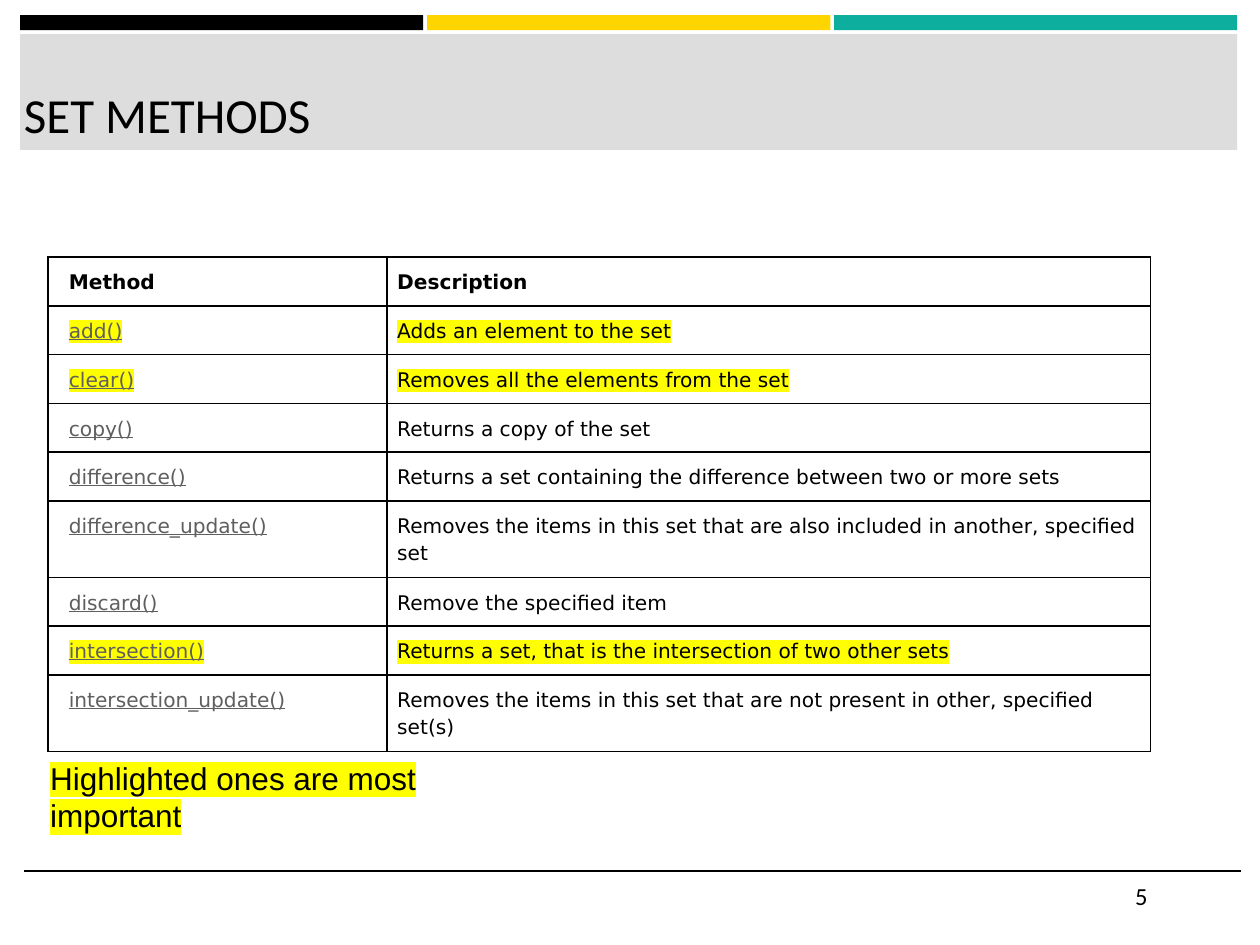
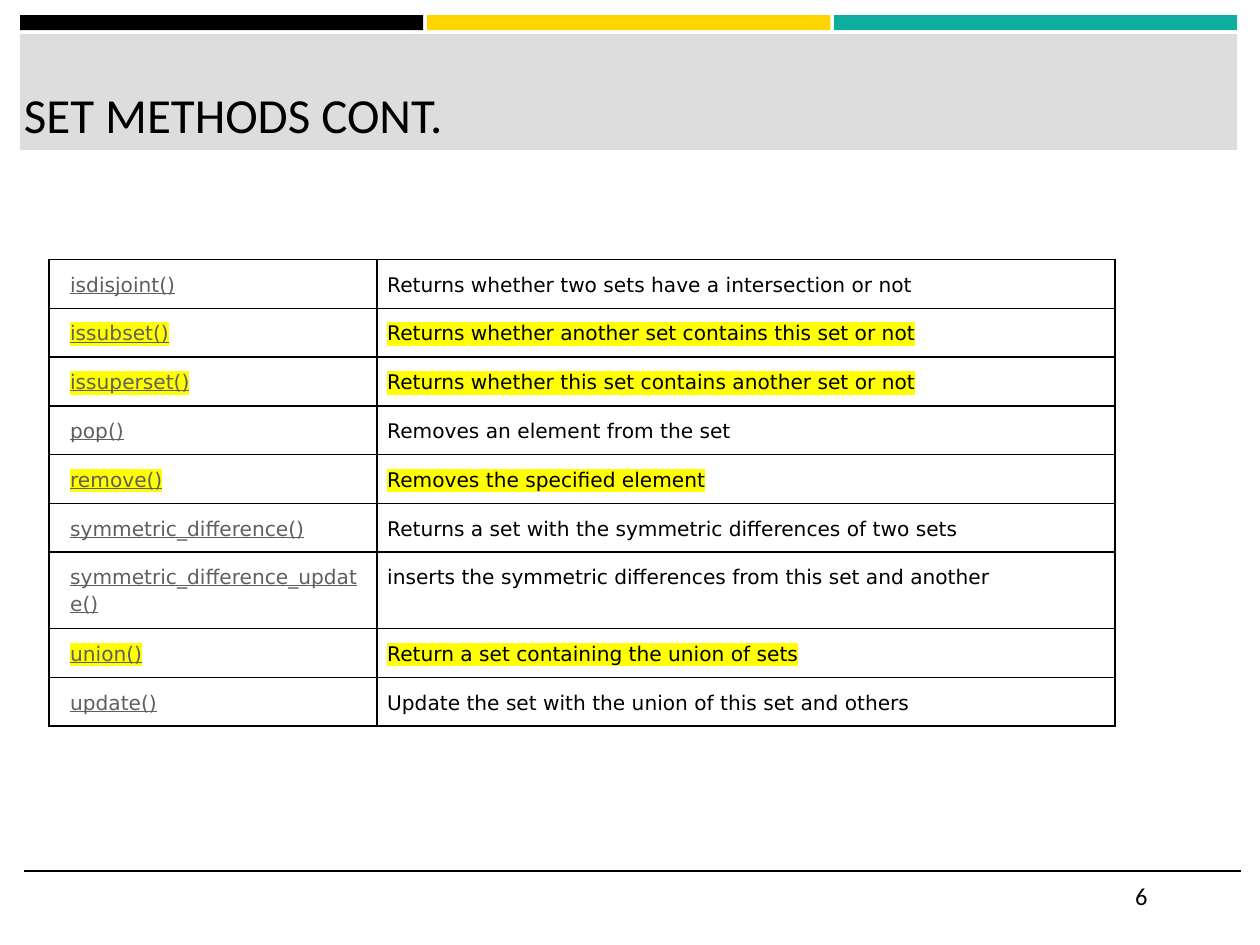
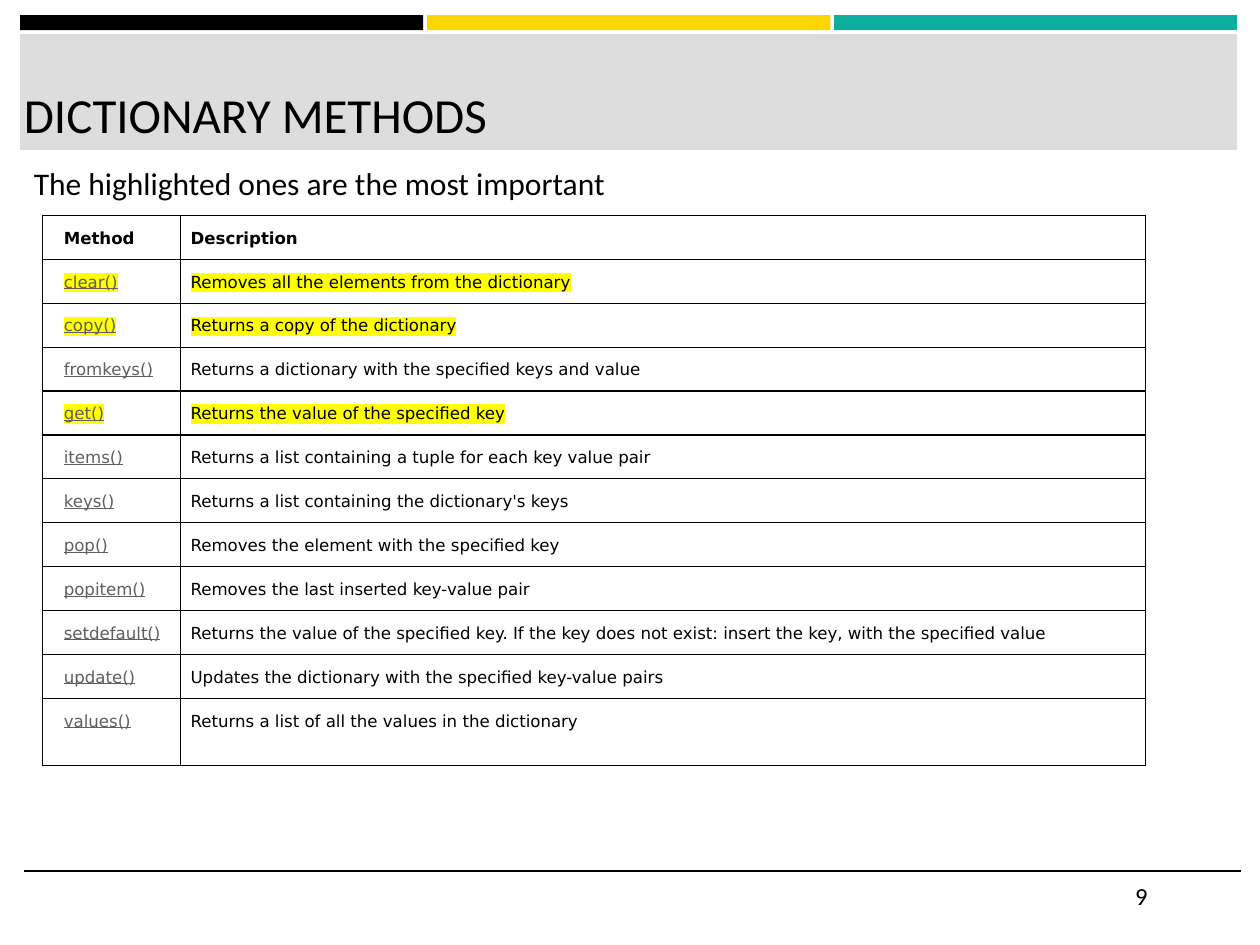
"""Build three slides listing the methods of Python sets and dictionaries."""
from dataclasses import dataclass, field
from typing import Any, NamedTuple

import pptx
import pptx.dml.color
import pptx.enum.shapes
import pptx.enum.text
import pptx.oxml
import pptx.oxml.ns
import pptx.util

SLIDE_WIDTH = pptx.util.Inches(10)
SLIDE_HEIGHT = pptx.util.Inches(7.5)
COLUMN = SLIDE_WIDTH / 100
ROW = SLIDE_HEIGHT / 75

BLACK, WHITE, GREY = "000000", "FFFFFF", "DDDDDD"
YELLOW, TEAL = "FFD500", "0EAE9F"
LINK, MARKER = "5F5F5F", "FFFF00"
ANCHOR = pptx.enum.text.MSO_ANCHOR
CELL_PADDING = pptx.util.Pt(6)


class Area(NamedTuple):
    """Left, top, width and height in grid columns and rows."""
    left: float
    top: float
    width: float
    height: float


class Style(NamedTuple):
    """Look of a text run."""
    size: float
    typeface: str = "Calibri"
    color: str = BLACK
    bold: bool = False
    underline: bool = False
    highlight: str = ""


class Method(NamedTuple):
    """A method, what it does, and whether it is marked."""
    name: str
    description: str
    important: bool = False


class Note(NamedTuple):
    """A remark beside the table."""
    text: str
    area: Area
    style: Style
    padding: tuple[float, float]


@dataclass
class MethodSlide:
    """Content and table measures of one slide."""
    title: str
    number: int
    corner: tuple[float, float]
    columns: tuple[float, float]
    row: float
    size: float
    border: float
    methods: list[Method]
    header: bool = True
    tall_rows: dict[int, float] = field(default_factory=dict)
    note: Note | None = None


BANDS = (BLACK, YELLOW, TEAL)
BAND = Area(1.6, 1.2, 32, 1.2)
BAND_PITCH = 32.3
TITLE_BAR = Area(1.6, 2.7, 96.6, 9.2)
TITLE = Area(1.9, 3.2, 95.7, 8.2)
PAGE_NUMBER = Area(90.1, 69.1, 8.4, 4)
FOOTER_LEFT, FOOTER_RIGHT, FOOTER_TOP = 1.9, 98.5, 69.1

SLIDES = [
    MethodSlide(
        "SET METHODS", 5, (3.8, 20.4), (26.9, 60.6), 3.8, 11.5, 1,
        [
            Method("add()", "Adds an element to the set", True),
            Method("clear()", "Removes all the elements from the set", True),
            Method("copy()", "Returns a copy of the set"),
            Method("difference()", "Returns a set containing the difference between two or more sets"),
            Method("difference_update()",
                   "Removes the items in this set that are also included in another, specified set"),
            Method("discard()", "Remove the specified item"),
            Method("intersection()", "Returns a set, that is the intersection of two other sets", True),
            Method("intersection_update()",
                   "Removes the items in this set that are not present in other, specified set(s)"),
        ],
        tall_rows={5: 5.95, 8: 5.95},
        note=Note("Highlighted ones are most important", Area(3, 59.2, 36.8, 8.1),
                  Style(18, "Arial", highlight=MARKER), (1, 1)),
    ),
    MethodSlide(
        "SET METHODS CONT.", 6, (3.9, 20.6), (26, 58.6), 3.8, 11.5, 1,
        [
            Method("isdisjoint()", "Returns whether two sets have a intersection or not"),
            Method("issubset()", "Returns whether another set contains this set or not", True),
            Method("issuperset()", "Returns whether this set contains another set or not", True),
            Method("pop()", "Removes an element from the set"),
            Method("remove()", "Removes the specified element", True),
            Method("symmetric_difference()", "Returns a set with the symmetric differences of two sets"),
            Method("symmetric_difference_update()",
                   "inserts the symmetric differences from this set and another"),
            Method("union()", "Return a set containing the union of sets", True),
            Method("update()", "Update the set with the union of this set and others"),
        ],
        header=False,
        tall_rows={6: 5.95},
    ),
    MethodSlide(
        "DICTIONARY METHODS", 9, (3.4, 17.1), (10.9, 76.6), 3.43, 9.5, 0.75,
        [
            Method("clear()", "Removes all the elements from the dictionary", True),
            Method("copy()", "Returns a copy of the dictionary", True),
            Method("fromkeys()", "Returns a dictionary with the specified keys and value"),
            Method("get()", "Returns the value of the specified key", True),
            Method("items()", "Returns a list containing a tuple for each key value pair"),
            Method("keys()", "Returns a list containing the dictionary's keys"),
            Method("pop()", "Removes the element with the specified key"),
            Method("popitem()", "Removes the last inserted key-value pair"),
            Method("setdefault()",
                   "Returns the value of the specified key. If the key does not exist: "
                   "insert the key, with the specified value"),
            Method("update()", "Updates the dictionary with the specified key-value pairs"),
            Method("values()", "Returns a list of all the values in the dictionary"),
        ],
        tall_rows={11: 5.3},
        note=Note("The highlighted ones are the most important", Area(1.7, 12.5, 96.6, 55.6),
                  Style(18), (1, 0.5)),
    ),
]


def rgb(value: str) -> pptx.dml.color.RGBColor:
    """Turn a hex string into a colour."""
    return pptx.dml.color.RGBColor.from_string(value)


def across(columns: float) -> int:
    """Convert grid columns to a length."""
    return round(columns * COLUMN)


def down(rows: float) -> int:
    """Convert grid rows to a length."""
    return round(rows * ROW)


def place(area: Area) -> tuple[int, int, int, int]:
    """Convert an area to slide lengths."""
    return across(area.left), down(area.top), across(area.width), down(area.height)


def apply(target: Any, formats: dict[str, Any]) -> None:
    """Set each format value on the target."""
    for attribute, value in formats.items():
        setattr(target, attribute, value)


def xml(markup: str) -> Any:
    """Parse a DrawingML element given without its namespace."""
    head, mark, tail = markup.partition(">")
    if head.endswith("/"):
        head, mark = head[:-1], "/>"
    return pptx.oxml.parse_xml(f"{head} {pptx.oxml.ns.nsdecls('a')}{mark}{tail}")


def write(frame: Any, text: str, style: Style, spacing: float | None = None) -> None:
    """Write one styled paragraph into a text frame."""
    paragraph = frame.paragraphs[0]
    if spacing:
        paragraph.line_spacing = spacing
    run = paragraph.add_run()
    run.text = text
    apply(run.font, {"size": pptx.util.Pt(style.size), "name": style.typeface,
                     "bold": style.bold, "underline": style.underline})
    run.font.color.rgb = rgb(style.color)
    if style.highlight:
        latin = run.font._element.find(pptx.oxml.ns.qn("a:latin"))
        latin.addprevious(xml(f'<a:highlight><a:srgbClr val="{style.highlight}"/></a:highlight>'))


def add_text(slide: Any, text: str, area: Area, style: Style, anchor: Any = ANCHOR.TOP,
             padding: tuple[float, float] = (0, 0)) -> None:
    """Add a wrapping text box."""
    frame = slide.shapes.add_textbox(*place(area)).text_frame
    side, edge = across(padding[0]), down(padding[1])
    apply(frame, {"word_wrap": True, "vertical_anchor": anchor, "margin_left": side,
                  "margin_right": side, "margin_top": edge, "margin_bottom": edge})
    write(frame, text, style)


def add_block(slide: Any, area: Area, color: str) -> None:
    """Add a plain filled rectangle."""
    block = slide.shapes.add_shape(pptx.enum.shapes.MSO_SHAPE.RECTANGLE, *place(area))
    block.shadow.inherit = False
    block.fill.solid()
    block.fill.fore_color.rgb = rgb(color)
    block.line.fill.background()


def add_frame(slide: Any, title: str, number: int) -> None:
    """Add the bands, title, footer rule and page number."""
    for index, color in enumerate(BANDS):
        add_block(slide, BAND._replace(left=BAND.left + index * BAND_PITCH), color)
    add_block(slide, TITLE_BAR, GREY)
    rule = slide.shapes.add_connector(
        pptx.enum.shapes.MSO_CONNECTOR.STRAIGHT, across(FOOTER_LEFT), down(FOOTER_TOP),
        across(FOOTER_RIGHT), down(FOOTER_TOP))
    rule.line.color.rgb = rgb(BLACK)
    rule.line.width = pptx.util.Pt(1)
    rule._element.spPr.append(xml("<a:effectLst/>"))
    add_text(slide, title, TITLE, Style(28), ANCHOR.BOTTOM)
    add_text(slide, str(number), PAGE_NUMBER, Style(14), ANCHOR.MIDDLE)


def fill_cell(cell: Any, text: str, style: Style, left_padding: int, border: float) -> None:
    """Write a cell and give it a white fill and black borders."""
    apply(cell, {"margin_left": left_padding, "margin_right": CELL_PADDING,
                 "margin_top": CELL_PADDING, "margin_bottom": CELL_PADDING})
    properties = cell._tc.get_or_add_tcPr()
    for side in "LRTB":
        properties.append(xml(
            f'<a:ln{side} w="{pptx.util.Pt(border)}"><a:solidFill>'
            f'<a:srgbClr val="{BLACK}"/></a:solidFill></a:ln{side}>'))
    cell.fill.solid()
    cell.fill.fore_color.rgb = rgb(WHITE)
    write(cell.text_frame, text, style, 1.15)


def add_methods(slide: Any, page: MethodSlide) -> None:
    """Add the table of methods."""
    plain = Style(page.size, "DejaVu Sans")
    heading = plain._replace(bold=True)
    lines = [("Method", heading, "Description", heading)] if page.header else []
    for method in page.methods:
        body = plain._replace(highlight=MARKER if method.important else "")
        lines.append((method.name, body._replace(color=LINK, underline=True),
                      method.description, body))
    heights = [page.tall_rows.get(index, page.row) for index in range(len(lines))]
    area = Area(*page.corner, sum(page.columns), sum(heights))
    table = slide.shapes.add_table(len(lines), len(page.columns), *place(area)).table
    apply(table, {"first_row": False, "horz_banding": False})
    for column, width in zip(table.columns, page.columns):
        column.width = across(width)
    for row, height, (name, name_style, description, description_style) in zip(
            table.rows, heights, lines):
        row.height = down(height)
        fill_cell(row.cells[0], name, name_style, 2 * CELL_PADDING, page.border)
        fill_cell(row.cells[1], description, description_style, CELL_PADDING, page.border)


def main() -> None:
    """Build and save the presentation."""
    deck = pptx.Presentation()
    apply(deck, {"slide_width": SLIDE_WIDTH, "slide_height": SLIDE_HEIGHT})
    for page in SLIDES:
        slide = deck.slides.add_slide(deck.slide_layouts[6])
        add_frame(slide, page.title, page.number)
        if page.note:
            add_text(slide, page.note.text, page.note.area, page.note.style,
                     padding=page.note.padding)
        add_methods(slide, page)
    deck.save("out.pptx")


if __name__ == "__main__":
    main()
